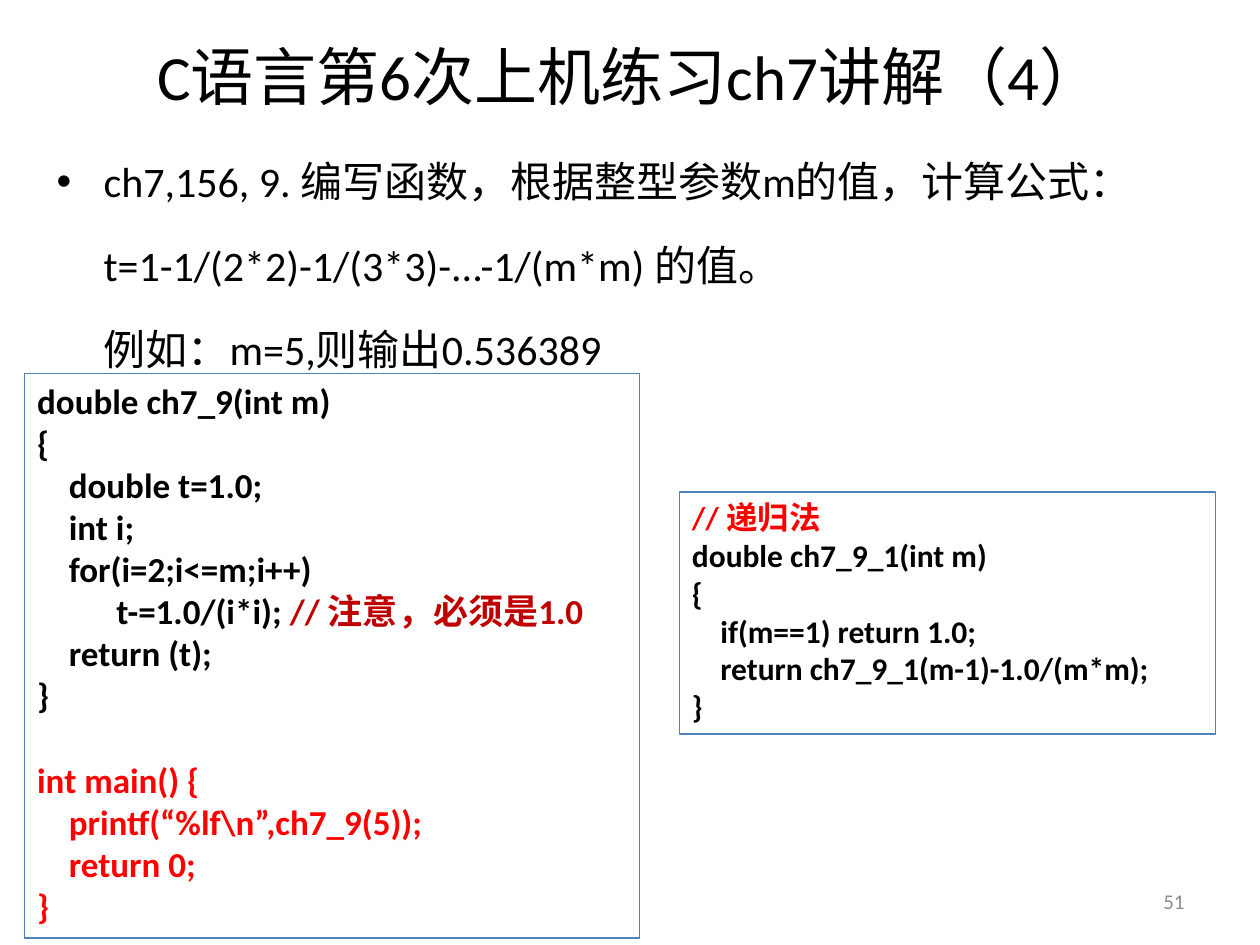
from lxml.etree import SubElement
from pptx import Presentation
from pptx.dml.color import RGBColor
from pptx.enum.shapes import MSO_SHAPE as Shape
from pptx.enum.text import MSO_ANCHOR as Anchor, PP_ALIGN as Align
from pptx.oxml.ns import qn
from pptx.util import Cm, Pt

COLORS = {"text": "000000", "note": "C00000", "main": "FF0000",
          "border": "4F81BD", "number": "8C8C8C"}
FONT = "Calibri"
SPACE_WIDTH = 0.226

EXERCISE = [
    "ch7,156, 9. 编写函数，根据整型参数m的值，计算公式：",
    "t=1-1/(2*2)-1/(3*3)-...-1/(m*m) 的值。",
    "例如：m=5,则输出0.536389",
]
LOOP_FUNCTION = [
    (0, [("double ch7_9(int m)", "text")]),
    (0, [("{", "text")]),
    (4, [("double t=1.0;", "text")]),
    (4, [("int i;", "text")]),
    (4, [("for(i=2;i<=m;i++)", "text")]),
    (10, [("t-=1.0/(i*i); ", "text"), ("// 注意，必须是1.0", "note")]),
    (4, [("return (t);", "text")]),
    (0, [("}", "text")]),
]
MAIN_FUNCTION = [
    (0, [("int main() {", "main")]),
    (4, [("printf(“%lf\\n”,ch7_9(5));", "main")]),
    (4, [("return 0;", "main")]),
    (0, [("}", "main")]),
]
RECURSIVE_FUNCTION = [
    (0, [("// 递归法", "main")]),
    (0, [("double ch7_9_1(int m)", "text")]),
    (0, [("{", "text")]),
    (4, [("if(m==1) return 1.0;", "text")]),
    (4, [("return ch7_9_1(m-1)-1.0/(m*m);", "text")]),
    (0, [("}", "text")]),
]


class SlideBuilder:
    """Holds the style and the current slide, and adds each kind of element."""

    def __init__(self, presentation):
        self.slide = presentation.slides.add_slide(presentation.slide_layouts[5])

    def add_run(self, paragraph, text, size, color="text", bold=False):
        run = paragraph.add_run()
        run.text = text
        run.font.name = FONT
        run.font.size = Pt(size)
        run.font.bold = bold
        run.font.color.rgb = RGBColor.from_string(COLORS[color])

    def next_paragraph(self, frame, index):
        return frame.add_paragraph() if index else frame.paragraphs[0]

    def indent(self, paragraph, margin, first_line=0):
        properties = paragraph._p.get_or_add_pPr()
        properties.set("marL", str(int(margin)))
        properties.set("indent", str(int(first_line)))
        return properties

    def add_title(self, text, left, top, width, height):
        title = self.slide.shapes.title
        title.left, title.top, title.width, title.height = map(Cm, (left, top, width, height))
        title.text_frame.vertical_anchor = Anchor.MIDDLE
        paragraph = title.text_frame.paragraphs[0]
        paragraph.alignment = Align.CENTER
        self.add_run(paragraph, text, 36)

    def add_text_box(self, left, top, width, height):
        frame = self.slide.shapes.add_textbox(*map(Cm, (left, top, width, height))).text_frame
        frame.word_wrap = True
        return frame

    def add_exercise(self, lines, *box):
        frame = self.add_text_box(*box)
        hanging = Cm(0.95)
        for index, line in enumerate(lines):
            paragraph = self.next_paragraph(frame, index)
            paragraph.line_spacing = 1.5
            paragraph.space_before = Pt(4.8)
            properties = self.indent(paragraph, hanging, 0 if index else -hanging)
            if index == 0:
                SubElement(properties, qn("a:buFont"), typeface="Arial")
                SubElement(properties, qn("a:buChar"), char="•")
            self.add_run(paragraph, line, 24)

    def add_code(self, functions, size, *box):
        shape = self.slide.shapes.add_shape(Shape.RECTANGLE, *map(Cm, box))
        shape.shadow.inherit = False
        shape.fill.background()
        shape.line.color.rgb = RGBColor.from_string(COLORS["border"])
        shape.line.width = Pt(0.75)
        frame = shape.text_frame
        frame.word_wrap = True
        frame.vertical_anchor = Anchor.TOP
        for function_index, function in enumerate(functions):
            for line_index, (spaces, runs) in enumerate(function):
                paragraph = self.next_paragraph(frame, function_index + line_index)
                paragraph.alignment = Align.LEFT
                self.indent(paragraph, Pt(spaces * SPACE_WIDTH * size))
                if function_index and line_index == 0:
                    paragraph.space_before = Pt(1.22 * size)
                for text, color in runs:
                    self.add_run(paragraph, text, size, color, bold=True)

    def add_page_number(self, number, *box):
        frame = self.add_text_box(*box)
        frame.vertical_anchor = Anchor.MIDDLE
        paragraph = frame.paragraphs[0]
        paragraph.alignment = Align.RIGHT
        self.add_run(paragraph, number, 12, "number")


def main():
    presentation = Presentation()
    presentation.slide_width, presentation.slide_height = Cm(25.4), Cm(19.05)
    builder = SlideBuilder(presentation)
    builder.add_title("C语言第6次上机练习ch7讲解（4）", 1.27, -0.08, 22.86, 3.18)
    builder.add_exercise(EXERCISE, 0.89, 2.51, 24, 16.54)
    builder.add_page_number("51", 18.2, 17.66, 5.93, 1.01)
    builder.add_code([LOOP_FUNCTION, MAIN_FUNCTION], 20, 0.5, 7.53, 12.4, 11.38)
    builder.add_code([RECURSIVE_FUNCTION], 18, 13.7, 9.92, 10.8, 4.88)
    presentation.save("out.pptx")


if __name__ == "__main__":
    main()
